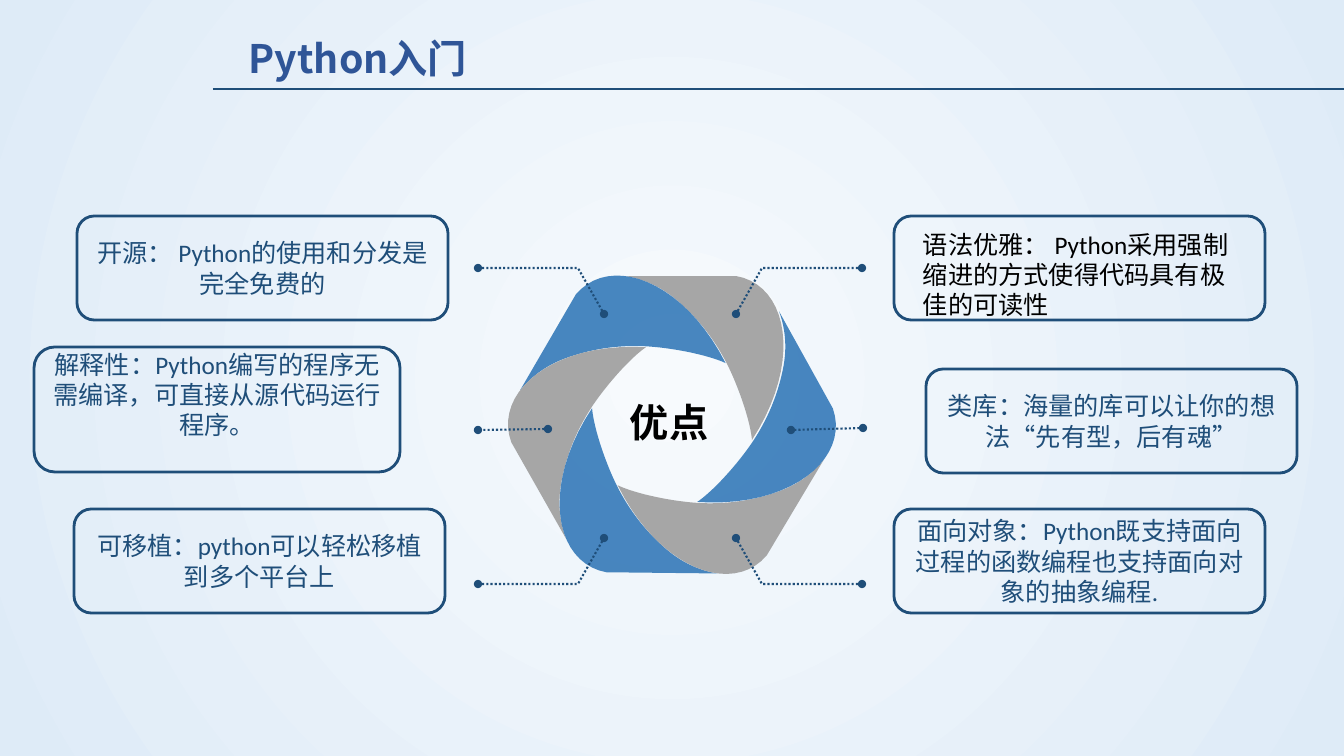
from math import cos, radians, sin

from lxml import etree
from pptx import Presentation
from pptx import util as u
from pptx.dml.color import RGBColor
from pptx.enum import dml, shapes, text
from pptx.oxml.ns import qn

EMU = 12192000 / 1344  # one px
COLORS = {"navy": "1F4E79", "title": "2F5597", "blue": "2E75B6", "gray": "A6A6A6",
          "black": "000000", "center": "F7FAFD", "edge": "DEEBF7"}
CJK = "Noto Sans CJK SC"
HEADING = {"size": u.Pt(28), "bold": True, "name": CJK}
BODY = {"size": u.Pt(18), "name": "Calibri"}

# text, (left, top, width, height), extra bottom inset
CARDS = [
    ("", (894, 216, 371, 104), 0),
    ("类库：海量的库可以让你的想法“先有型，后有魂”", (926, 369, 371, 104), 0),
    ("面向对象：Python既支持面向过程的函数编程也支持面向对象的抽象编程.", (894, 509, 371, 104), 0),
    ("开源： Python的使用和分发是完全免费的", (77, 216, 371, 104), 0),
    ("解释性：Python编写的程序无需编译，可直接从源代码运行程序。", (34, 347, 366, 125), 30),
    ("可移植：python可以轻松移植到多个平台上", (74, 509, 371, 104), 0),
]
# text, (left, top, width, height), colour, format, wraps
LABELS = [
    ("Python入门", (239, 29, 306, 57), "title", HEADING, True),
    ("优点", (620, 393, 100, 57), "black", HEADING, False),
    ("语法优雅： Python采用强制缩进的方式使得代码具有极佳的可读性",
     (913, 224, 335, 102), "black", BODY, True),
]
TITLE_RULE = ((213, 89), (1344, 89))
SIDE_LEADERS = [((863, 428), (791, 430)), ((548, 429), (478, 430))]
ELBOW = [(604, 314), (578, 268), (478, 268)]  # top left; mirrored to the other corners
MIRROR_X, MIRROR_Y = 1340, 852

HUB = (672, 424.5)
BLADE_COUNT, BLADE_STEP = 6, -59.8
BLADE_START = [(625, 276), (736, 276)]
BLADE_CURVES = [
    [(736, 276), (788, 285), (803, 361), (752, 440)],
    [(752, 440), (751, 428), (745, 405), (734, 379)],
    [(734, 379), (721, 348), (703, 323), (679, 302)],
    [(679, 302), (662, 287), (644, 279), (625, 276)],
]


def rgb(name):
    return RGBColor.from_string(COLORS[name])


def emu(values):
    return [round(v * EMU) for v in values]


def bezier(curve, steps=20):
    """Points along a cubic curve, without its first point."""
    for i in range(1, steps + 1):
        t = i / steps
        weights = ((1 - t) ** 3, 3 * t * (1 - t) ** 2, 3 * t * t * (1 - t), t ** 3)
        yield tuple(sum(w * p[axis] for w, p in zip(weights, curve)) for axis in (0, 1))


def rotate(point, degrees):
    c, s = cos(radians(degrees)), sin(radians(degrees))
    x, y = point[0] - HUB[0], point[1] - HUB[1]
    return HUB[0] + x * c - y * s, HUB[1] + x * s + y * c


def add_outline(points, close):
    start, *rest = [emu(p) for p in points]
    builder = slide.shapes.build_freeform(*start, scale=1.0)
    builder.add_line_segments(rest, close=close)
    outline = builder.convert_to_shape()
    outline.shadow.inherit = False
    return outline


def add_line(start, end):
    line = slide.shapes.add_connector(shapes.MSO_CONNECTOR.STRAIGHT, *emu(start + end))
    etree.SubElement(line._element.spPr, qn("a:effectLst"))
    return line


def style_line(shape, width, dotted=False):
    shape.line.color.rgb = rgb("navy")
    shape.line.width = u.Pt(width)
    if dotted:
        shape.line.dash_style = dml.MSO_LINE.ROUND_DOT
        ln = shape.line._get_or_add_ln()
        for end in ("a:headEnd", "a:tailEnd"):
            etree.SubElement(ln, qn(end), type="oval")


def write(frame, words, color, font_format):
    paragraph = frame.paragraphs[0]
    run = paragraph.add_run()
    run.text = words
    for key, value in font_format.items():
        setattr(run.font, key, value)
    run.font.color.rgb = rgb(color)
    latin = run._r.rPr.find(qn("a:latin"))
    latin.addnext(etree.Element(qn("a:ea"), typeface=CJK))
    return paragraph


def paint_background():
    fill = slide.background.fill
    fill.gradient()
    for stop, position, color in zip(fill.gradient_stops, (0, 1), ("center", "edge")):
        stop.position = position
        stop.color.rgb = rgb(color)
    linear = next(slide._element.iter(qn("a:lin")))
    radial = etree.Element(qn("a:path"), path="circle")
    etree.SubElement(radial, qn("a:fillToRect"), l="50000", t="50000", r="50000", b="50000")
    linear.getparent().replace(linear, radial)


prs = Presentation()
prs.slide_width, prs.slide_height = emu((1344, 756))
slide = prs.slides.add_slide(prs.slide_layouts[6])
paint_background()
style_line(add_line(*TITLE_RULE), 1.25)

blade_points = BLADE_START + [p for curve in BLADE_CURVES for p in bezier(curve)]
for i in range(BLADE_COUNT):
    blade = add_outline([rotate(p, i * BLADE_STEP) for p in blade_points], True)
    blade.fill.solid()
    blade.fill.fore_color.rgb = rgb("blue" if i % 2 else "gray")
    blade.line.fill.background()
    if i % 2:
        color = next(blade._element.spPr.iter(qn("a:srgbClr")))
        etree.SubElement(color, qn("a:alpha"), val="87000")

for flip_y in (False, True):
    for flip_x in (False, True):
        leader = add_outline([(MIRROR_X - x if flip_x else x, MIRROR_Y - y if flip_y else y)
                              for x, y in ELBOW], False)
        leader.fill.background()
        style_line(leader, 1.5, dotted=True)
for ends in SIDE_LEADERS:
    style_line(add_line(*ends), 1.5, dotted=True)

for words, place, extra in CARDS:
    card = slide.shapes.add_shape(shapes.MSO_SHAPE.ROUNDED_RECTANGLE, *emu(place))
    card.shadow.inherit = False
    card.fill.background()
    style_line(card, 2)
    if words:
        frame = card.text_frame
        frame.word_wrap = True
        frame.vertical_anchor = text.MSO_ANCHOR.MIDDLE
        frame.margin_bottom += round(extra * EMU)
        write(frame, words, "navy", BODY).alignment = text.PP_ALIGN.CENTER

for words, place, color, font_format, wraps in LABELS:
    frame = slide.shapes.add_textbox(*emu(place)).text_frame
    frame.word_wrap = wraps
    frame.auto_size = text.MSO_AUTO_SIZE.SHAPE_TO_FIT_TEXT
    write(frame, words, color, font_format)

prs.save("out.pptx")
